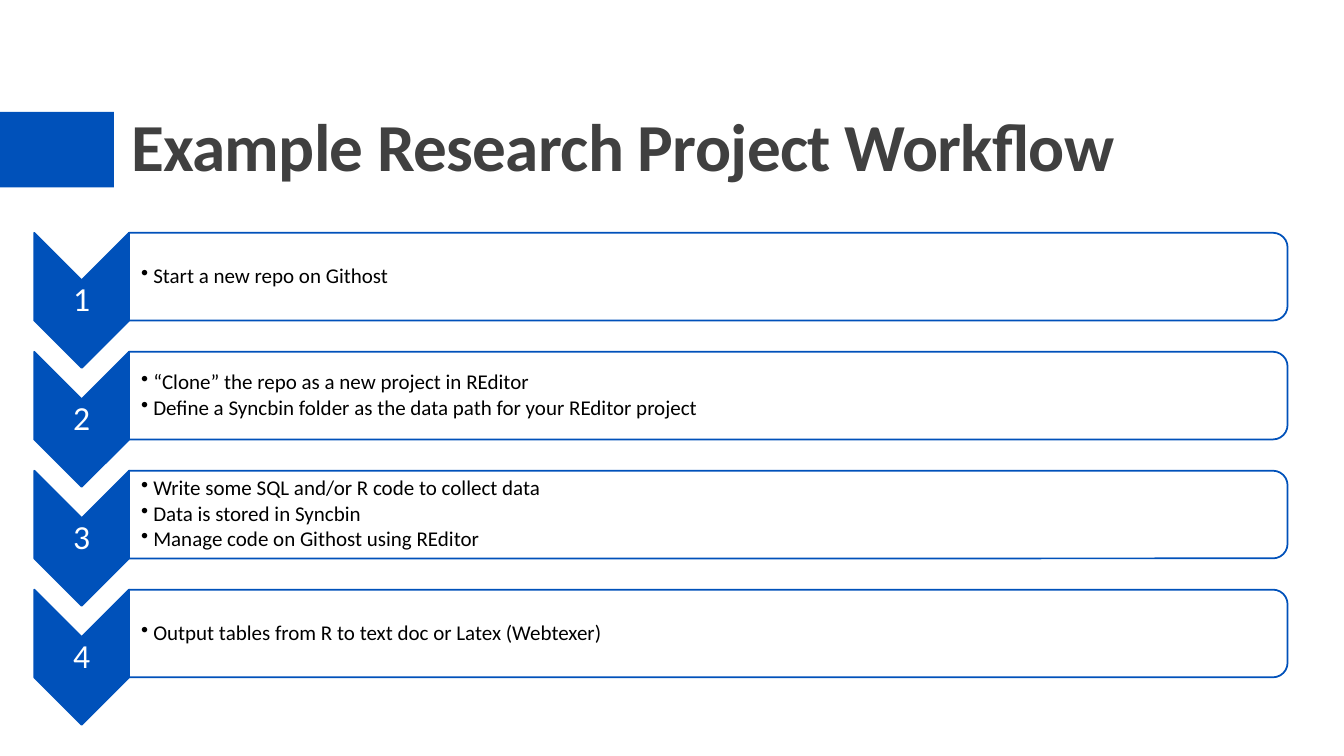
"""Build the research project workflow slide."""
from lxml.etree import SubElement
from pptx import Presentation
from pptx.dml.color import RGBColor as Rgb
from pptx.enum.shapes import MSO_SHAPE as Kind
from pptx.enum.text import MSO_ANCHOR as Anchor, PP_ALIGN as Align
from pptx.oxml.ns import qn
from pptx.util import Inches, Pt

TITLE = "Example Research Project Workflow"
STEPS = [
    ["Start a new repo on Githost"],
    ["“Clone” the repo as a new project in REditor",
     "Define a Syncbin folder as the data path for your REditor project"],
    ["Write some SQL and/or R code to collect data",
     "Data is stored in Syncbin",
     "Manage code on Githost using REditor"],
    ["Output tables from R to text doc or Latex (Webtexer)"],
]
BLUE, WHITE, BLACK, GRAY = "0051BA", "FFFFFF", "000000", "404040"
LEFT, TOP, PITCH = 0.34, 2.31, 1.18
ARROW_W, ARROW_H = 0.94, 1.34
BOX_W, BOX_H = 11.49, 0.87
INDENT = 0.12


def color(code):
    return Rgb.from_string(code)


def write(shape, lines, size, ink, bold=False, align=Align.LEFT,
          anchor=Anchor.MIDDLE, inset=None, bullet=False, gap=0, track=0):
    frame = shape.text_frame
    frame.word_wrap = True
    frame.vertical_anchor = anchor
    if inset:
        (frame.margin_left, frame.margin_top,
         frame.margin_right, frame.margin_bottom) = map(Inches, inset)
    for num, line in enumerate(lines):
        para = frame.add_paragraph() if num else frame.paragraphs[0]
        para.alignment = align
        para.line_spacing = 0.9
        para.space_before = Pt(0)
        para.space_after = Pt(gap)
        run = para.add_run()
        run.text = line
        font = run.font
        font.name, font.size, font.bold = "Calibri", Pt(size), bold
        font.color.rgb = color(ink)
        if track:
            font._element.set("spc", str(round(track * 100)))
        if bullet:
            props = para._p.get_or_add_pPr()
            props.set("marL", str(Inches(INDENT)))
            props.set("indent", str(-Inches(INDENT)))
            SubElement(props, qn("a:buChar")).set("char", "•")


def draw(slide, kind, x, y, w, h, fill, line=None):
    shape = slide.shapes.add_shape(kind, *map(Inches, (x, y, w, h)))
    shape.shadow.inherit = False
    shape.fill.solid()
    shape.fill.fore_color.rgb = color(fill)
    if line:
        shape.line.color.rgb = color(line)
        shape.line.width = Pt(1.25)
    else:
        shape.line.fill.background()
    return shape


def turn(slide, kind, x, y, w, h, fill):
    """Draw a shape turned a quarter, given the frame it covers."""
    shift = (w - h) / 2
    shape = draw(slide, kind, x + shift, y - shift, h, w, fill, BLUE)
    shape.rotation = 90


def label(slide, x, y, w, h, lines, **style):
    box = slide.shapes.add_textbox(*map(Inches, (x, y, w, h)))
    write(box, lines, **style)


def main():
    deck = Presentation()
    deck.slide_width, deck.slide_height = Inches(13.33), Inches(7.5)
    slide = deck.slides.add_slide(deck.slide_layouts[5])
    draw(slide, Kind.RECTANGLE, 0, 1.11, 1.13, 0.75, BLUE)
    title = slide.shapes.title
    title.left, title.top, title.width, title.height = map(
        Inches, (1.2, 0.31, 11, 1.59))
    write(title, [TITLE], 48, GRAY, bold=True, anchor=Anchor.BOTTOM,
          track=-0.5)

    right = LEFT + ARROW_W
    for num, lines in enumerate(STEPS):
        y = TOP + num * PITCH
        turn(slide, Kind.CHEVRON, LEFT, y, ARROW_W, ARROW_H, BLUE)
        label(slide, LEFT, y + ARROW_W / 2, ARROW_W, ARROW_H - ARROW_W,
              [str(num + 1)], size=24, ink=WHITE, align=Align.CENTER,
              inset=(0.02,) * 4)
        turn(slide, Kind.ROUND_2_SAME_RECTANGLE, right, y, BOX_W, BOX_H, WHITE)
        label(slide, right, y + 0.04, BOX_W - 0.04, BOX_H - 0.08, lines,
              size=15, ink=BLACK, bullet=True, gap=2,
              inset=(0.12, 0.01, 0.01, 0.01))
    deck.save("out.pptx")


if __name__ == "__main__":
    main()
